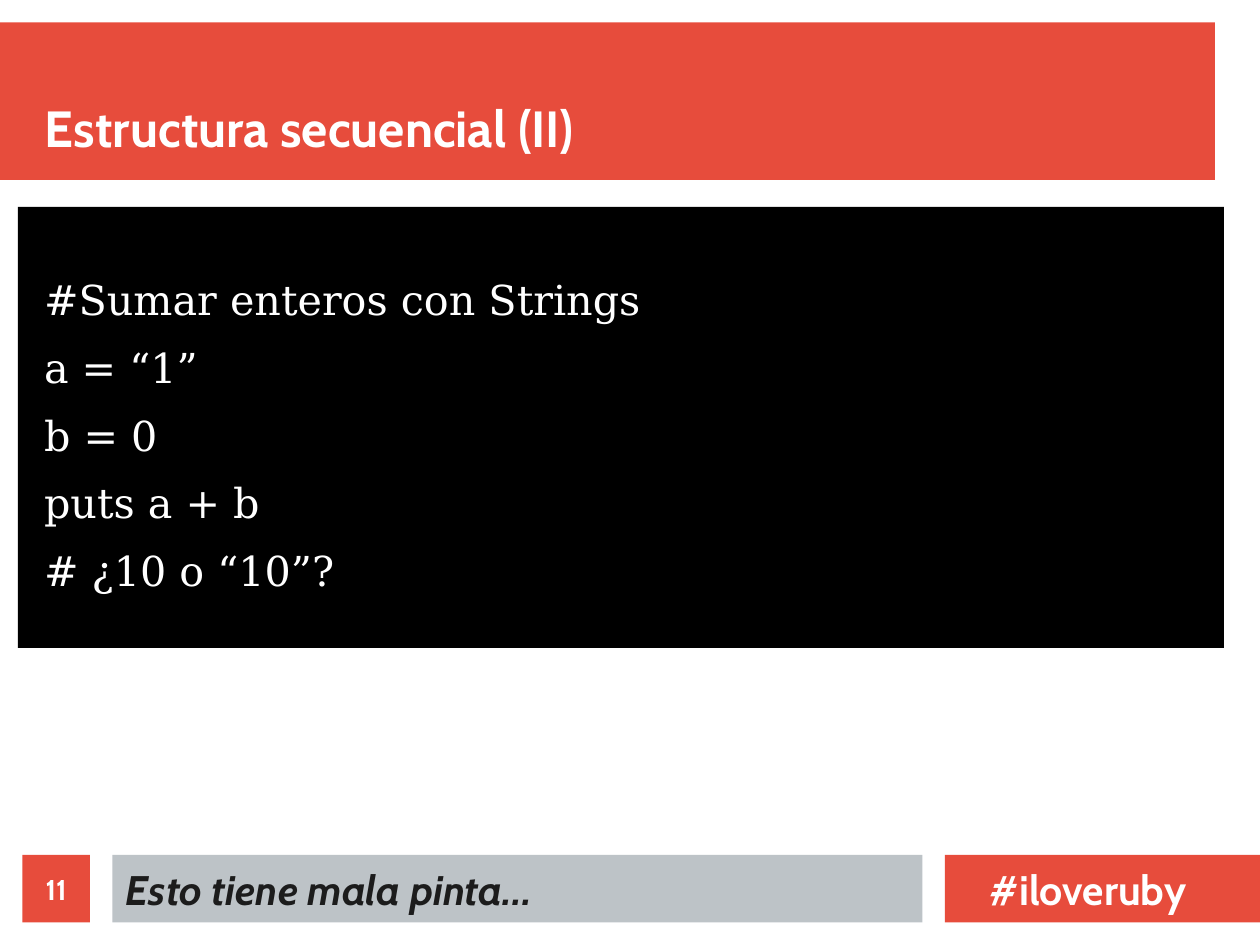
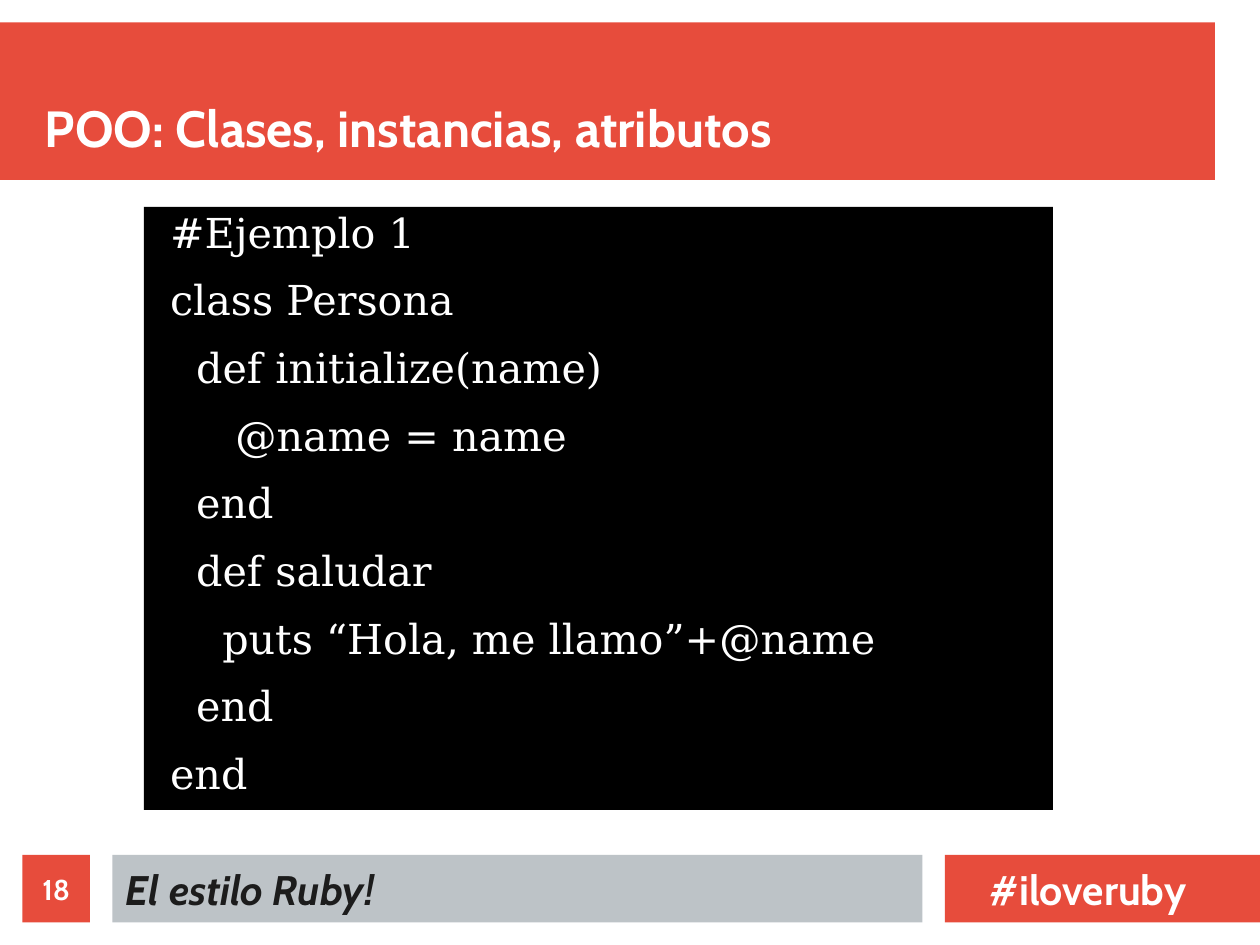
import pptx
import pptx.util
import pptx.dml.color
import pptx.enum.shapes
import pptx.enum.text

Cm = pptx.util.Cm
Pt = pptx.util.Pt
ALIGN = pptx.enum.text.PP_ALIGN
ANCHOR = pptx.enum.text.MSO_ANCHOR
HUES = {"red": "E74C3C", "gray": "BDC3C7", "ink": "1C1C1C",
        "white": "FFFFFF", "black": "000000"}
SPACE = 0.29

PAGES = [
    {"title": "Estructura secuencial (II)", "num": "11",
     "note": "Esto tiene mala pinta...",
     "box": (0.4, 4.6, 26.8, 9.8), "top": 1.5,
     "code": [(0, "#Sumar enteros con Strings"), (0, "a = “1”"),
              (0, "b = 0"), (0, "puts a + b"), (0, "# ¿10 o “10”?")]},
    {"title": "POO: Clases, instancias, atributos", "num": "18",
     "note": "El estilo Ruby!",
     "box": (3.2, 4.6, 20.2, 13.4), "top": 0,
     "code": [(0, "#Ejemplo 1"), (0, "class Persona"),
              (2, "def initialize(name)"), (5, "@name = name"), (2, "end"),
              (2, "def saludar"), (4, "puts “Hola, me llamo”+@name"),
              (2, "end"), (0, "end")]},
]


def block(slide, box, hue):
    shape = slide.shapes.add_shape(
        pptx.enum.shapes.MSO_SHAPE.RECTANGLE, *[Cm(n) for n in box])
    shape.shadow.inherit = False
    shape.fill.solid()
    shape.fill.fore_color.rgb = pptx.dml.color.RGBColor.from_string(HUES[hue])
    shape.line.fill.background()
    return shape


def write(shape, lines, size, hue, anchor, left=0, top=0, face="Cabin",
          bold=True, slant=False, align=ALIGN.LEFT):
    frame = shape.text_frame
    frame.word_wrap = True
    frame.auto_size = pptx.enum.text.MSO_AUTO_SIZE.NONE
    frame.vertical_anchor = anchor
    frame.margin_left, frame.margin_top = Cm(left), Cm(top)
    frame.margin_right = frame.margin_bottom = 0
    frame.text = "\n".join(lines)
    for para in frame.paragraphs:
        para.alignment = align
        font = para.font
        font.name, font.size = face, Pt(size)
        font.bold, font.italic = bold, slant
        font.color.rgb = pptx.dml.color.RGBColor.from_string(HUES[hue])
    return frame.paragraphs


deck = pptx.Presentation()
deck.slide_width, deck.slide_height = Cm(28), Cm(21)

for page in PAGES:
    slide = deck.slides.add_slide(deck.slide_layouts[5])

    title = slide.shapes.title
    title.left, title.top, title.width, title.height = Cm(1), Cm(1), Cm(26), Cm(2.5)
    write(title, [page["title"]], 32, "white", ANCHOR.BOTTOM)
    band = block(slide, (0, 0.5, 27, 3.5), "red")
    title.element.addprevious(band.element)

    panel = block(slide, page["box"], "black")
    paras = write(panel, [text for _, text in page["code"]], 26, "white",
                  ANCHOR.TOP, 2 * SPACE, page["top"], "DejaVu Serif", False)
    for para, (depth, _) in zip(paras, page["code"]):
        para.line_spacing = Pt(31.2)
        para.space_after = Pt(11.4)
        para.font.element.getparent().set("marL", str(Cm(depth * SPACE))) \
            if hasattr(para.font, "element") else \
            para._p.get_or_add_pPr().set("marL", str(Cm(depth * SPACE)))

    badge = block(slide, (0.5, 19, 1.5, 1.5), "red")
    write(badge, [page["num"]], 18, "white", ANCHOR.MIDDLE, align=ALIGN.CENTER)
    note = block(slide, (2.5, 19, 18, 1.5), "gray")
    write(note, [page["note"]], 26, "ink", ANCHOR.MIDDLE, 0.3, slant=True)
    tag = block(slide, (21, 19, 7, 1.5), "red")
    write(tag, ["#iloveruby"], 26, "white", ANCHOR.MIDDLE, 1)

deck.save("out.pptx")
